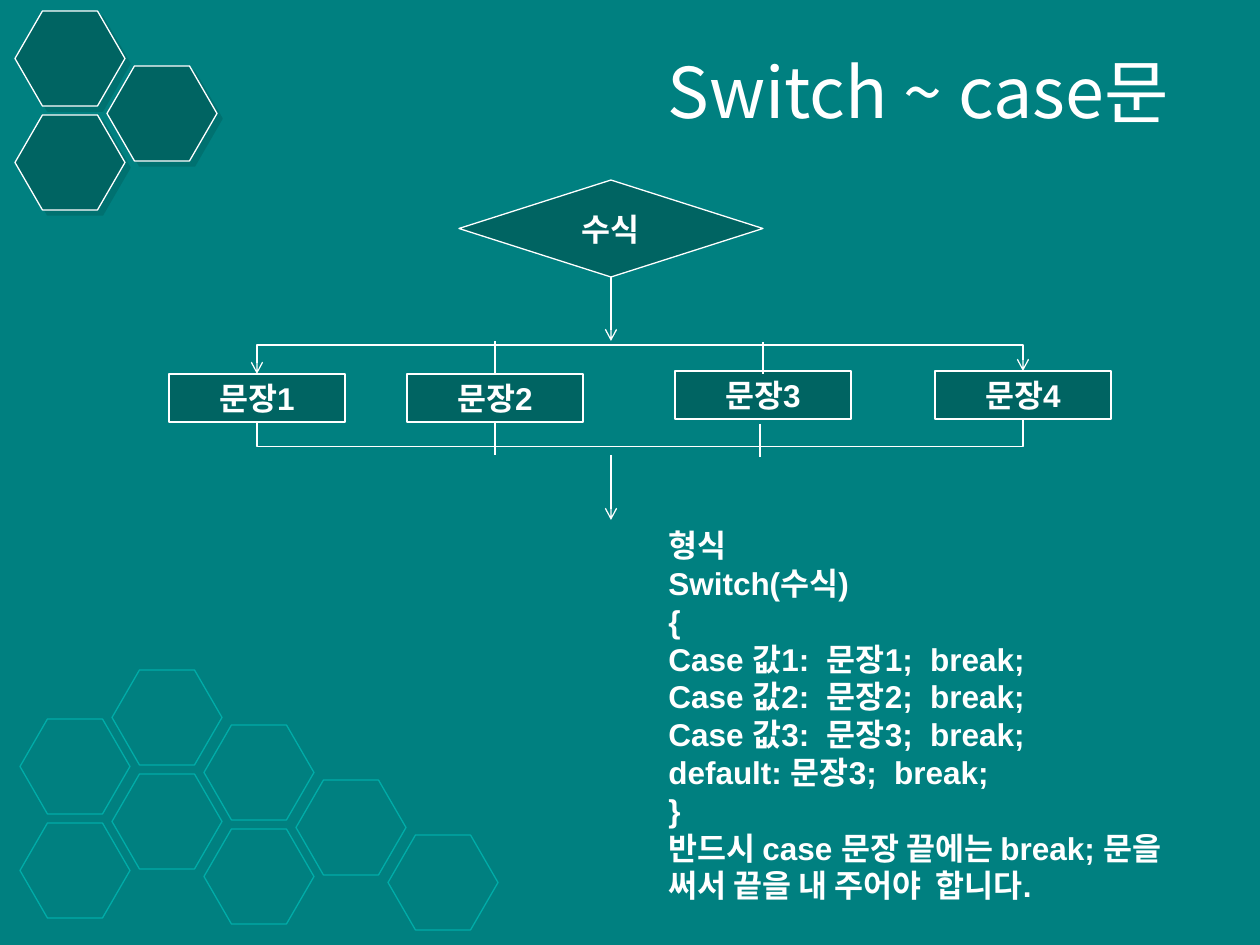
from dataclasses import dataclass

from lxml.etree import SubElement
from pptx import Presentation
from pptx.dml.color import RGBColor
from pptx.enum.shapes import MSO_CONNECTOR, MSO_SHAPE
from pptx.enum.text import MSO_ANCHOR, MSO_AUTO_SIZE, PP_ALIGN
from pptx.oxml.ns import qn
from pptx.util import Emu, Pt

PX_PER_INCH = 126


def px(n):
    return Emu(round(n * 914400 / PX_PER_INCH))


def rgb(value):
    return RGBColor.from_string(value)


@dataclass(frozen=True)
class Theme:
    back: str = "008080"
    fill: str = "006462"
    ink: str = "FFFFFF"
    pattern: str = "00ACA8"
    latin: str = "Arial"
    korean: str = "Noto Sans CJK KR"
    title_size: int = 40
    body_size: int = 18
    line_width: float = 0.75


THEME = Theme()


def write(tf, text, size=THEME.body_size, font=THEME.latin, bold=True,
          align=PP_ALIGN.LEFT, anchor=MSO_ANCHOR.TOP):
    """Put each line of text in its own paragraph."""
    tf.vertical_anchor = anchor
    for i, line in enumerate(text.split("\n")):
        p = tf.add_paragraph() if i else tf.paragraphs[0]
        p.alignment = align
        r = p.add_run()
        r.text = line
        r.font.size, r.font.bold, r.font.name = Pt(size), bold, font
        r.font.color.rgb = rgb(THEME.ink)
        SubElement(r.font._element, qn("a:ea"), typeface=THEME.korean)


class Board:
    def __init__(self, prs, theme):
        self.t = theme
        self.s = prs.slides.add_slide(prs.slide_layouts[5])
        self.s.background.fill.solid()
        self.s.background.fill.fore_color.rgb = rgb(theme.back)

    def title(self, text, x, y, w, h):
        sp = self.s.shapes.title
        sp.left, sp.top, sp.width, sp.height = map(px, (x, y, w, h))
        sp.text_frame.auto_size = MSO_AUTO_SIZE.NONE
        write(sp.text_frame, text, size=self.t.title_size, font=self.t.korean,
              bold=False, align=PP_ALIGN.RIGHT, anchor=MSO_ANCHOR.MIDDLE)

    def shape(self, kind, x, y, w, h, text="", fill=None, line=None):
        sp = self.s.shapes.add_shape(kind, *map(px, (x, y, w, h)))
        if fill:
            sp.fill.solid()
            sp.fill.fore_color.rgb = rgb(fill)
        else:
            sp.fill.background()
        sp.line.color.rgb = rgb(line or self.t.ink)
        sp.line.width = Pt(self.t.line_width)
        sp.shadow.inherit = False
        if text:
            write(sp.text_frame, text, align=PP_ALIGN.CENTER,
                  anchor=MSO_ANCHOR.MIDDLE)
        return sp

    def honeycomb(self, x, y, cells, shadow=False, **style):
        """Place hexagons on a lattice of (column, row) cells."""
        for col, row in cells:
            sp = self.shape(MSO_SHAPE.HEXAGON, x + 92 * col,
                            y + 55 * col + 104 * row, 110, 95, **style)
            sp.adjustments[0] = 0.289
            if shadow:
                self.drop_shadow(sp)

    def drop_shadow(self, sp):
        effects = sp._element.spPr.find(qn("a:effectLst"))
        outer = SubElement(effects, qn("a:outerShdw"), dist=str(Pt(4.2)),
                           dir="2700000", algn="ctr", rotWithShape="0")
        color = SubElement(outer, qn("a:srgbClr"), val=self.t.fill)
        SubElement(color, qn("a:alpha"), val="50000")

    def line(self, x1, y1, x2, y2, kind=MSO_CONNECTOR.STRAIGHT, ends=()):
        c = self.s.shapes.add_connector(kind, *map(px, (x1, y1, x2, y2)))
        c.line.color.rgb = rgb(self.t.ink)
        c.line.width = Pt(self.t.line_width)
        for end in ends:
            SubElement(c.line._get_or_add_ln(), qn(f"a:{end}"), type="arrow")
        SubElement(c._element.spPr, qn("a:effectLst"))
        return c

    def bracket(self, x1, y1, x2, y2, bar_y, ends=()):
        """Elbow from lower left to upper right, by way of a bar at bar_y."""
        cx, cy = (x1 + x2) / 2, (y1 + y2) / 2
        w, h = y1 - y2, x2 - x1
        c = self.line(cx + w / 2, cy + h / 2, cx - w / 2, cy - h / 2,
                      MSO_CONNECTOR.ELBOW, ends)
        sp_pr = c._element.spPr
        sp_pr.find(qn("a:xfrm")).set("rot", "5400000")
        geom = sp_pr.find(qn("a:prstGeom"))
        guides = geom.find(qn("a:avLst"))
        if guides is None:
            guides = SubElement(geom, qn("a:avLst"))
        ratio = round((y1 - bar_y) / w * 100000)
        SubElement(guides, qn("a:gd"), name="adj1", fmla=f"val {ratio}")

    def text(self, text, x, y, w, h):
        tf = self.s.shapes.add_textbox(*map(px, (x, y, w, h))).text_frame
        tf.word_wrap = False
        tf.auto_size = MSO_AUTO_SIZE.SHAPE_TO_FIT_TEXT
        write(tf, text)


SYNTAX = """형식
Switch(수식)
{
Case 값1:  문장1;  break;
Case 값2:  문장2;  break;
Case 값3:  문장3;  break;
default: 문장3;  break;
}
반드시 case 문장 끝에는 break; 문을
써서 끝을 내 주어야  합니다."""


def main():
    prs = Presentation()
    prs.slide_width, prs.slide_height = px(1260), px(945)
    board = Board(prs, THEME)

    # Honeycomb decoration
    board.honeycomb(20, 719, [(2, 0), (2, -1), (3, -1), (4, -1),
                              (1, 0), (1, -1), (0, 0), (0, 1)],
                    line=THEME.pattern)
    board.honeycomb(15, 11, [(0, 1), (0, 0), (1, 0)], shadow=True,
                    fill=THEME.fill)

    board.title("Switch ~ case문", 233, 35, 948, 110)

    # Decision and statements
    board.shape(MSO_SHAPE.DIAMOND, 459, 180, 304, 97, "수식", THEME.fill)
    box_w, box_h = 176, 48
    centers = (257, 495, 763, 1023)
    tops = (374, 374, 371, 371)
    for n, (cx, top) in enumerate(zip(centers, tops), 1):
        board.shape(MSO_SHAPE.RECTANGLE, cx - box_w // 2, top, box_w, box_h,
                    f"문장{n}", THEME.fill)

    # Branches in and out
    left, right = centers[0], centers[-1]
    board.bracket(left, 374, right, 371, 345, ends=("headEnd", "tailEnd"))
    board.bracket(left, 422, right, 419, 447)
    for x, y1, y2 in ((495, 341, 374), (763, 342, 374),
                      (495, 422, 455), (760, 424, 457)):
        board.line(x, y1, x, y2)
    for y1, y2 in ((277, 341), (455, 520)):
        board.line(611, y1, 611, y2, ends=("tailEnd",))

    # Syntax
    board.text(SYNTAX, 656, 520, 554, 394)

    prs.save("out.pptx")


if __name__ == "__main__":
    main()
